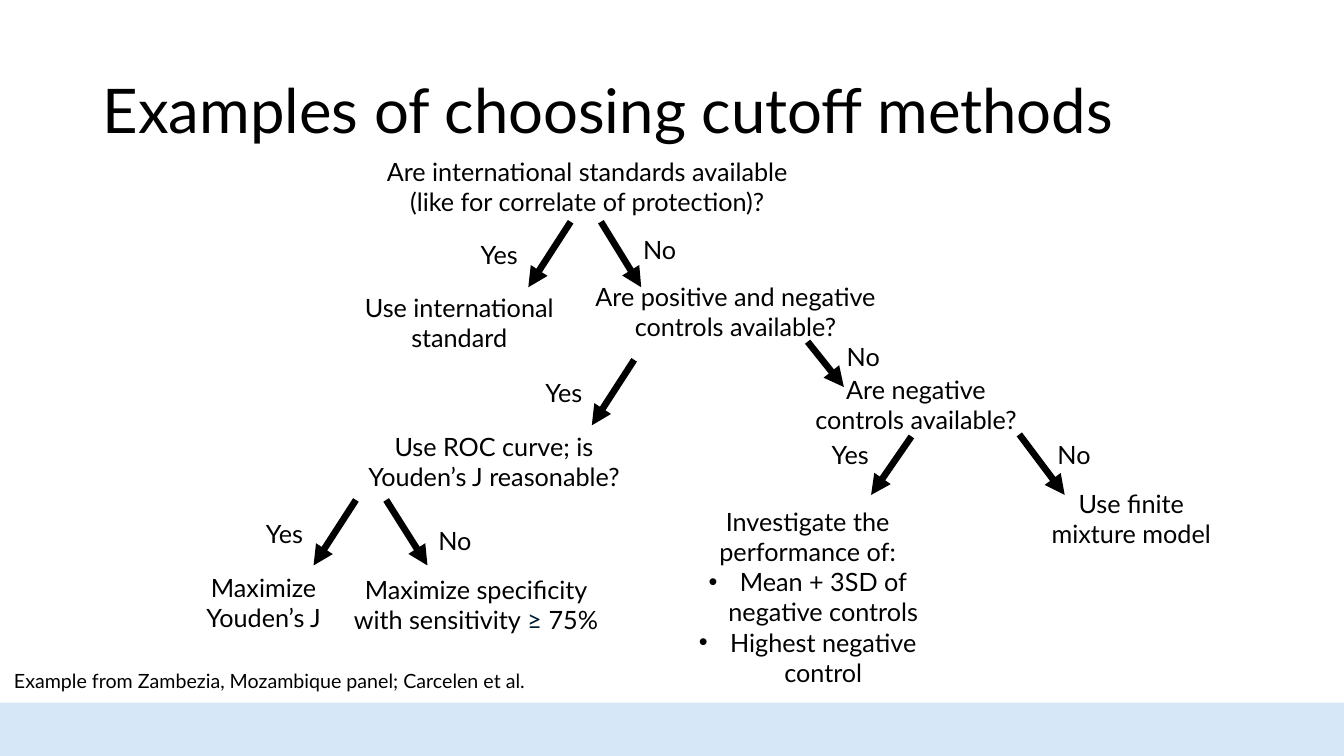
from dataclasses import dataclass

from lxml.etree import SubElement
from pptx import Presentation
from pptx.dml.color import RGBColor
from pptx.enum.shapes import MSO_CONNECTOR as CONN, MSO_SHAPE as SHAPE
from pptx.enum.text import MSO_ANCHOR as ANCHOR, PP_ALIGN as ALIGN
from pptx.oxml.ns import qn
from pptx.util import Inches, Pt


@dataclass(frozen=True)
class Theme:
    font: str = "Lato"
    ink: str = "000000"
    symbol: str = "001D35"
    band: str = "D6E8F8"
    title: int = 44
    body: int = 18
    source: int = 14
    arrow: float = 4.75


THEME = Theme()

# Content: text and places in inches
SLIDE = (13.33, 7.5)
BAND = (0, 6.97, 13.33, 0.53)
TITLE = ("Examples of choosing cutoff methods", (0.92, 0.4, 11.5, 1.45))
SOURCE = ("Example from Zambezia, Mozambique panel; Carcelen et al.",
          (0.04, 6.59, 6.67, 0.34))

# Tree nodes: text, (left, top, width)
NODES = [
    ("Are international standards available (like for correlate of protection)?",
     (3.61, 1.5, 4.43)),
    ("Use international standard", (3.45, 2.85, 2.21)),
    ("Are positive and negative controls available?", (5.77, 2.74, 3.05)),
    ("Use ROC curve; is Youden’s J reasonable?", (3.45, 4.23, 2.9)),
    ("Maximize Youden’s J", (1.51, 5.63, 2.21)),
    ("Are negative controls available?", (7.89, 3.66, 2.39)),
    ("Use finite mixture model", (10.21, 4.79, 2.02)),
]
SPECIFICITY = ([("Maximize specificity with sensitivity", THEME.ink),
                ("\xa0≥", THEME.symbol), (" 75%", THEME.ink)],
               (3.27, 5.65, 2.9))
INVESTIGATE = ("Investigate the performance of:",
               ["Mean + 3SD of negative controls", "Highest negative control"],
               (6.67, 4.97, 2.68, 1.92))

# Branches: answer, label (left, top), arrow start, arrow end
BRANCHES = [
    ("Yes", (4.67, 2.33), (5.66, 2.2), (5.24, 2.85)),
    ("No", (6.28, 2.28), (5.96, 2.2), (6.36, 2.85)),
    ("Yes", (5.31, 3.69), (6.29, 3.57), (5.87, 4.22)),
    ("No", (8.3, 3.34), (8.01, 3.39), (8.37, 3.84)),
    ("Yes", (2.54, 5.09), (3.53, 4.96), (3.11, 5.61)),
    ("No", (4.25, 5.16), (3.83, 4.96), (4.24, 5.61)),
    ("Yes", (8.15, 4.31), (9.04, 4.33), (8.64, 4.91)),
    ("No", (10.39, 4.31), (10.11, 4.31), (10.56, 4.91)),
]
NODE_H = 0.71
LABEL_SIZE = (0.73, 0.4)
BULLET_INDENT = 0.31


def inches(values):
    return [Inches(v) for v in values]


def add_runs(p, runs, size, align):
    p.alignment = align
    for text, color in runs:
        r = p.add_run()
        r.text = text
        for name, value in {"name": THEME.font, "size": Pt(size)}.items():
            setattr(r.font, name, value)
        r.font.color.rgb = RGBColor.from_string(color)


def add_text(slide, runs, box, size=THEME.body, align=ALIGN.CENTER,
             anchor=ANCHOR.TOP):
    if isinstance(runs, str):
        runs = [(runs, THEME.ink)]
    tf = slide.shapes.add_textbox(*inches(box)).text_frame
    for name, value in {"word_wrap": True, "vertical_anchor": anchor}.items():
        setattr(tf, name, value)
    add_runs(tf.paragraphs[0], runs, size, align)
    return tf


def add_bullet(tf, text):
    p = tf.add_paragraph()
    pPr = p._p.get_or_add_pPr()
    pPr.set("marL", str(Inches(BULLET_INDENT)))
    pPr.set("indent", str(-Inches(BULLET_INDENT)))
    SubElement(pPr, qn("a:buFont"), typeface="Arial")
    SubElement(pPr, qn("a:buChar"), char="•")
    add_runs(p, [(text, THEME.ink)], THEME.body, ALIGN.CENTER)


def add_arrow(slide, start, end):
    s = slide.shapes.add_connector(CONN.STRAIGHT, *inches(start + end))
    s.line.width = Pt(THEME.arrow)
    s.line.color.rgb = RGBColor.from_string(THEME.ink)
    SubElement(s.line._get_or_add_ln(), qn("a:tailEnd"), type="triangle")
    SubElement(s._element.spPr, qn("a:effectLst"))


def main():
    prs = Presentation()
    prs.slide_width, prs.slide_height = inches(SLIDE)
    slide = prs.slides.add_slide(prs.slide_layouts[6])

    # Footer band
    band = slide.shapes.add_shape(SHAPE.RECTANGLE, *inches(BAND))
    band.shadow.inherit = False
    band.fill.solid()
    band.fill.fore_color.rgb = RGBColor.from_string(THEME.band)
    band.line.fill.background()

    # Title
    title = add_text(slide, *TITLE, THEME.title, ALIGN.LEFT, ANCHOR.MIDDLE)
    title.paragraphs[0].line_spacing = 0.9

    # Decision tree
    for text, place in NODES + [SPECIFICITY]:
        add_text(slide, text, place + (NODE_H,))
    lead, methods, box = INVESTIGATE
    tf = add_text(slide, lead, box)
    for method in methods:
        add_bullet(tf, method)
    for answer, place, start, end in BRANCHES:
        add_arrow(slide, start, end)
        add_text(slide, answer, place + LABEL_SIZE, align=ALIGN.LEFT)

    # Source line
    add_text(slide, *SOURCE, THEME.source, ALIGN.LEFT)
    prs.save("out.pptx")


if __name__ == "__main__":
    main()
